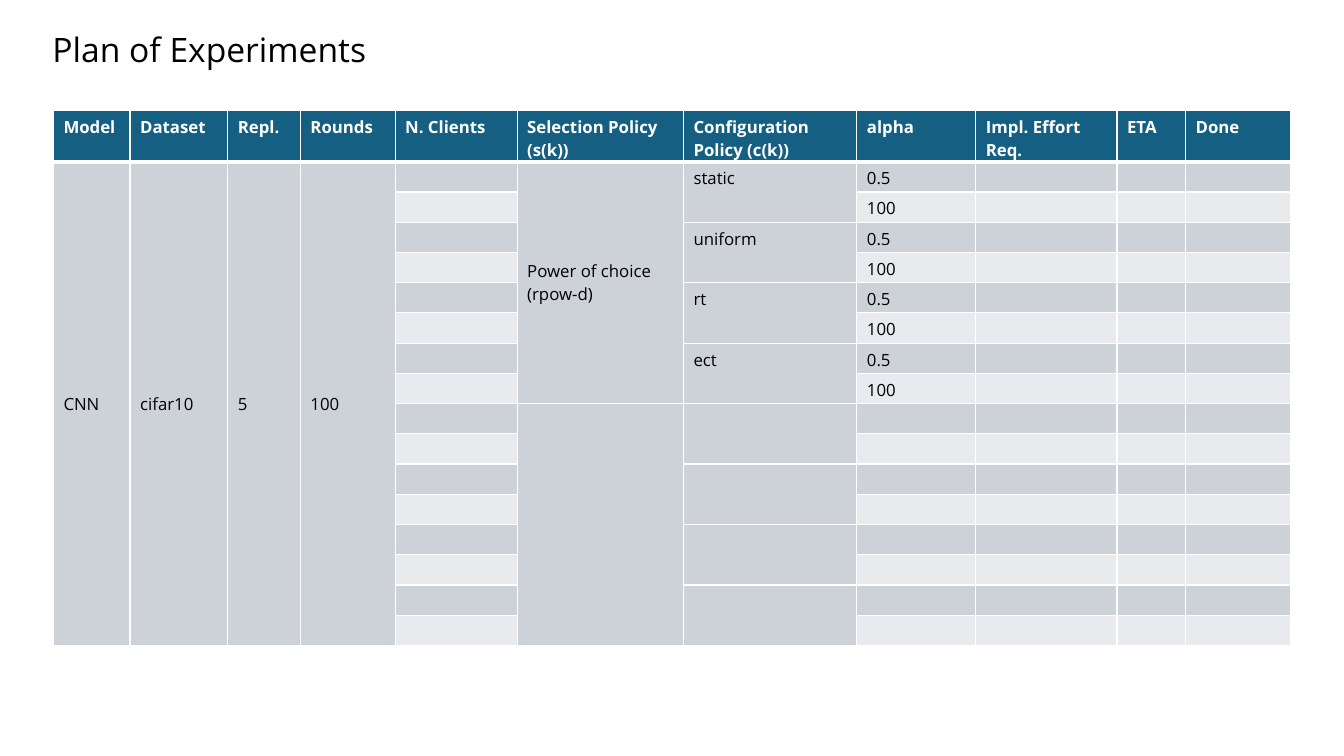
import pptx
import pptx.util
import pptx.dml.color
import pptx.enum.text
import pptx.oxml.ns
from lxml import etree

Inches = pptx.util.Inches
Anchor = pptx.enum.text.MSO_ANCHOR
COLORS = {"white": "FFFFFF", "black": "000000", "header": "156082",
          "dark": "CCD2D8", "light": "E8EAED"}
FONT = "Open Sans"
HEADERS = {"Model": 0.76, "Dataset": 0.97, "Repl.": 0.72, "Rounds": 0.94,
           "N. Clients": 1.21, "Selection Policy (s(k))": 1.65,
           "Configuration Policy (c(k))": 1.72, "alpha": 1.18,
           "Impl. Effort Req.": 1.4, "ETA": 0.68, "Done": 1.04}
SETUP = ["CNN", "cifar10", "5", "100"]
SELECTIONS = ["Power of choice (rpow-d)", ""]
CONFIGURATIONS = ["static", "uniform", "rt", "ect", "", "", "", ""]
ALPHAS = ["0.5", "100"]
RUNS = len(CONFIGURATIONS) * len(ALPHAS)


def rgb(name):
    return pptx.dml.color.RGBColor.from_string(COLORS[name])


def apply(target, values):
    for name, value in values.items():
        setattr(target, name, value)


def write(frame, text, color, size, bold=False):
    para = frame.paragraphs[0]
    if text:
        span = para.add_run()
        span.text = text
        apply(span.font, {"name": FONT, "size": pptx.util.Pt(size), "bold": bold})
        span.font.color.rgb = rgb(color)
    else:
        end = etree.SubElement(para._p, pptx.oxml.ns.qn("a:endParaRPr"), sz=str(size * 100))
        etree.SubElement(end, pptx.oxml.ns.qn("a:latin"), typeface=FONT)


def add_borders(cell, widths):
    properties = cell._tc.get_or_add_tcPr()
    for side, width in widths.items():
        line = etree.SubElement(properties, pptx.oxml.ns.qn("a:ln" + side),
                                w=str(pptx.util.Pt(width)))
        fill = etree.SubElement(line, pptx.oxml.ns.qn("a:solidFill"))
        etree.SubElement(fill, pptx.oxml.ns.qn("a:srgbClr"), val=COLORS["white"])


def experiment_text(row, column):
    run = row - 1
    if column < len(SETUP):
        return SETUP[column] if run == 0 else ""
    if column == 5:
        return SELECTIONS[run // 8] if run % 8 == 0 else ""
    if column == 6:
        return CONFIGURATIONS[run // 2] if run % 2 == 0 else ""
    if column == 7 and run < 8:
        return ALPHAS[run % 2]
    return ""


def merge_groups(table):
    group_sizes = {column: RUNS for column in range(len(SETUP))}
    group_sizes.update({5: RUNS // len(SELECTIONS), 6: len(ALPHAS)})
    for column, size in group_sizes.items():
        for first in range(1, RUNS + 1, size):
            table.cell(first, column).merge(table.cell(first + size - 1, column))


def add_title(page, left, top, width, height):
    title = page.shapes.title
    apply(title, {"left": left, "top": top, "width": width, "height": height})
    apply(title.text_frame, {"word_wrap": True, "vertical_anchor": Anchor.TOP})
    title.text_frame.paragraphs[0].alignment = pptx.enum.text.PP_ALIGN.LEFT
    write(title.text_frame, "Plan of Experiments", "black", 24)


def add_plan(page, left, top, width, height):
    table = page.shapes.add_table(RUNS + 1, len(HEADERS), left, top, width, height).table
    for column, size in zip(table.columns, HEADERS.values()):
        column.width = Inches(size)
    header_height = Inches(0.5)
    for index, row in enumerate(table.rows):
        row.height = (height - header_height) // RUNS if index else header_height
        for column, header in enumerate(HEADERS):
            cell = row.cells[column]
            centred = index > 0 and column in (0, 1, 2, 3, 5)
            add_borders(cell, {"L": 1, "R": 1, "T": 3 if index == 1 else 1,
                               "B": 1 if index else 3})
            cell.fill.solid()
            if index:
                cell.fill.fore_color.rgb = rgb("dark" if index % 2 else "light")
                write(cell.text_frame, experiment_text(index, column), "black", 12)
            else:
                cell.fill.fore_color.rgb = rgb("header")
                write(cell.text_frame, header, "white", 12, True)
            apply(cell, {"margin_top": 0 if centred else Inches(0.05), "margin_bottom": 0,
                         "vertical_anchor": Anchor.MIDDLE if centred else Anchor.TOP})
    merge_groups(table)


def main():
    deck = pptx.Presentation()
    apply(deck, {"slide_width": Inches(13.33), "slide_height": Inches(7.5)})
    page = deck.slides.add_slide(deck.slide_layouts[5])
    add_title(page, Inches(0.42), Inches(0.24), Inches(4.52), Inches(0.5))
    add_plan(page, Inches(0.53), Inches(1.1), Inches(12.27), Inches(5.3))
    deck.save("out.pptx")


if __name__ == "__main__":
    main()
